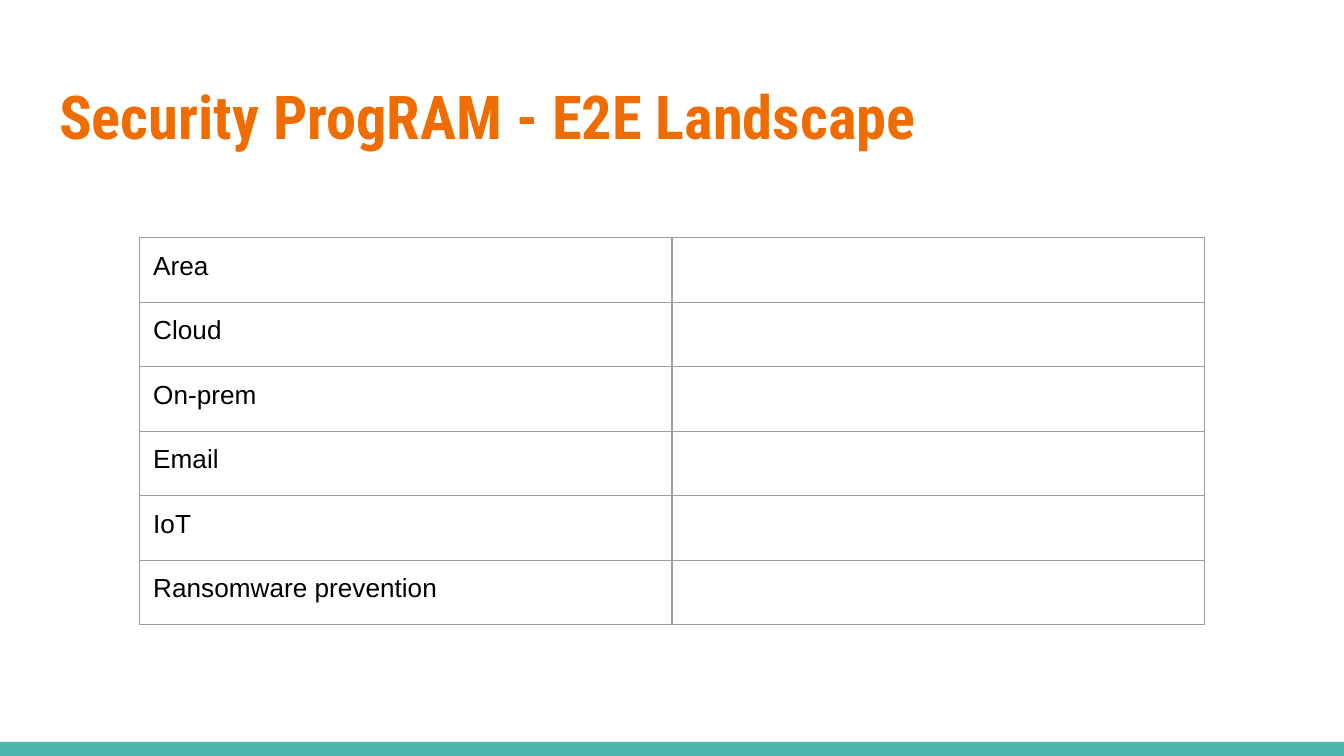
from pptx import Presentation
from pptx.dml.color import RGBColor
from pptx.enum.shapes import MSO_SHAPE
from pptx.enum.text import MSO_ANCHOR, MSO_AUTO_SIZE, PP_ALIGN
from pptx.oxml import parse_xml
from pptx.oxml.ns import nsdecls
from pptx.util import Pt

RECTANGLE = MSO_SHAPE.RECTANGLE
TOP = MSO_ANCHOR.TOP
NO_AUTOFIT = MSO_AUTO_SIZE.NONE
LEFT = PP_ALIGN.LEFT

EMU_PER_PX = 4572  # 200 px to the inch
SLIDE_SIZE = (2000, 1125)
INSET = 20
TITLE_ONLY_LAYOUT = 5

ORANGE, TEAL, BLACK, GREY = "EF6C00", "4DB6AC", "000000", "9E9E9E"
TITLE_FONT = {"name": "Roboto Condensed", "size": Pt(32.4), "bold": True}
CELL_POINTS = 14
CELL_FONT = {"name": "Arial", "size": Pt(CELL_POINTS)}

AREAS = ["Area", "Cloud", "On-prem", "Email", "IoT", "Ransomware prevention"]


def px(length):
    return length * EMU_PER_PX


def color(hex_value):
    return RGBColor.from_string(hex_value)


def set_attributes(target, values):
    for name, value in values.items():
        setattr(target, name, value)


MARGINS = {f"margin_{side}": px(INSET) for side in ("left", "right", "top", "bottom")}


def add_run(paragraph, text, font_values, hex_value):
    paragraph.alignment = LEFT
    run = paragraph.add_run()
    run.text = text
    set_attributes(run.font, font_values)
    run.font.color.rgb = color(hex_value)


def set_borders(cell, hex_value, points):
    properties = cell._tc.get_or_add_tcPr()
    for position, side in enumerate(("lnL", "lnR", "lnT", "lnB")):
        properties.insert(position, parse_xml(
            f'<a:{side} {nsdecls("a")} w="{Pt(points)}"><a:solidFill>'
            f'<a:srgbClr val="{hex_value}"/></a:solidFill></a:{side}>'))


def set_empty_text_size(cell, points):
    """Keeps an empty cell from growing its row."""
    paragraph = cell.text_frame.paragraphs[0]
    paragraph._p.append(parse_xml(
        f'<a:endParaRPr {nsdecls("a")} sz="{points * 100}"/>'))


def place_title(slide, box, text):
    title = slide.shapes.title
    set_attributes(title, dict(zip(("left", "top", "width", "height"), map(px, box))))
    set_attributes(title.text_frame, {**MARGINS, "vertical_anchor": TOP,
                                      "word_wrap": True, "auto_size": NO_AUTOFIT})
    add_run(title.text_frame.paragraphs[0], text, TITLE_FONT, ORANGE)


def add_area_table(slide, box, areas):
    """Lists the areas in the first column and leaves the second one open."""
    table = slide.shapes.add_table(len(areas), 2, *map(px, box)).table
    table.first_row = table.horz_banding = False
    for row, area in zip(table.rows, areas):
        for cell in row.cells:
            set_attributes(cell, {**MARGINS, "vertical_anchor": TOP})
            cell.fill.background()
            set_borders(cell, GREY, 0.75)
        area_cell, open_cell = row.cells
        add_run(area_cell.text_frame.paragraphs[0], area, CELL_FONT, BLACK)
        set_empty_text_size(open_cell, CELL_POINTS)


def add_footer_bar(slide, box):
    bar = slide.shapes.add_shape(RECTANGLE, *map(px, box))
    bar.shadow.inherit = False
    bar.fill.solid()
    bar.fill.fore_color.rgb = color(TEAL)
    bar.line.fill.background()


def main():
    presentation = Presentation()
    presentation.slide_width, presentation.slide_height = map(px, SLIDE_SIZE)
    slide = presentation.slides.add_slide(presentation.slide_layouts[TITLE_ONLY_LAYOUT])
    add_footer_bar(slide, (0, 1104, 2000, 21))
    place_title(slide, (68, 98, 1864, 154), "Security ProgRAM - E2E Landscape")
    add_area_table(slide, (208, 354, 1584, 576), AREAS)
    presentation.save("out.pptx")


if __name__ == "__main__":
    main()
